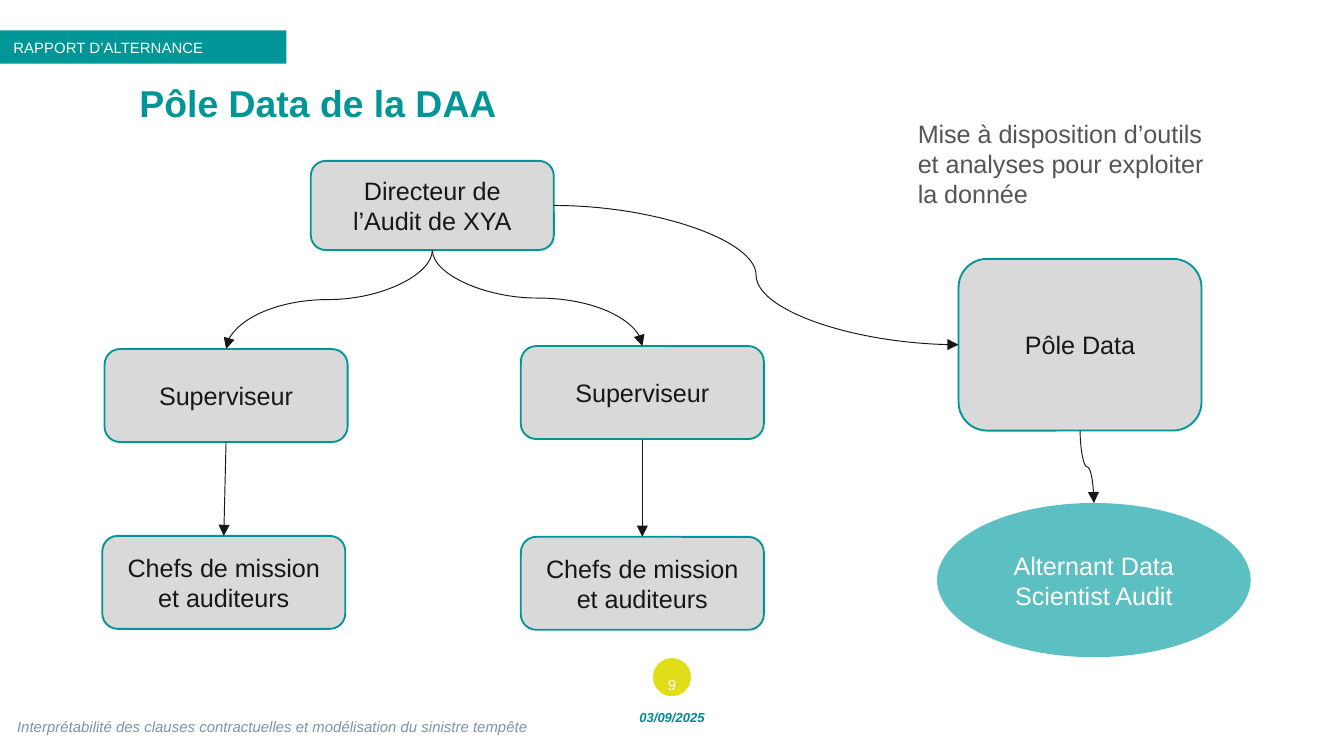
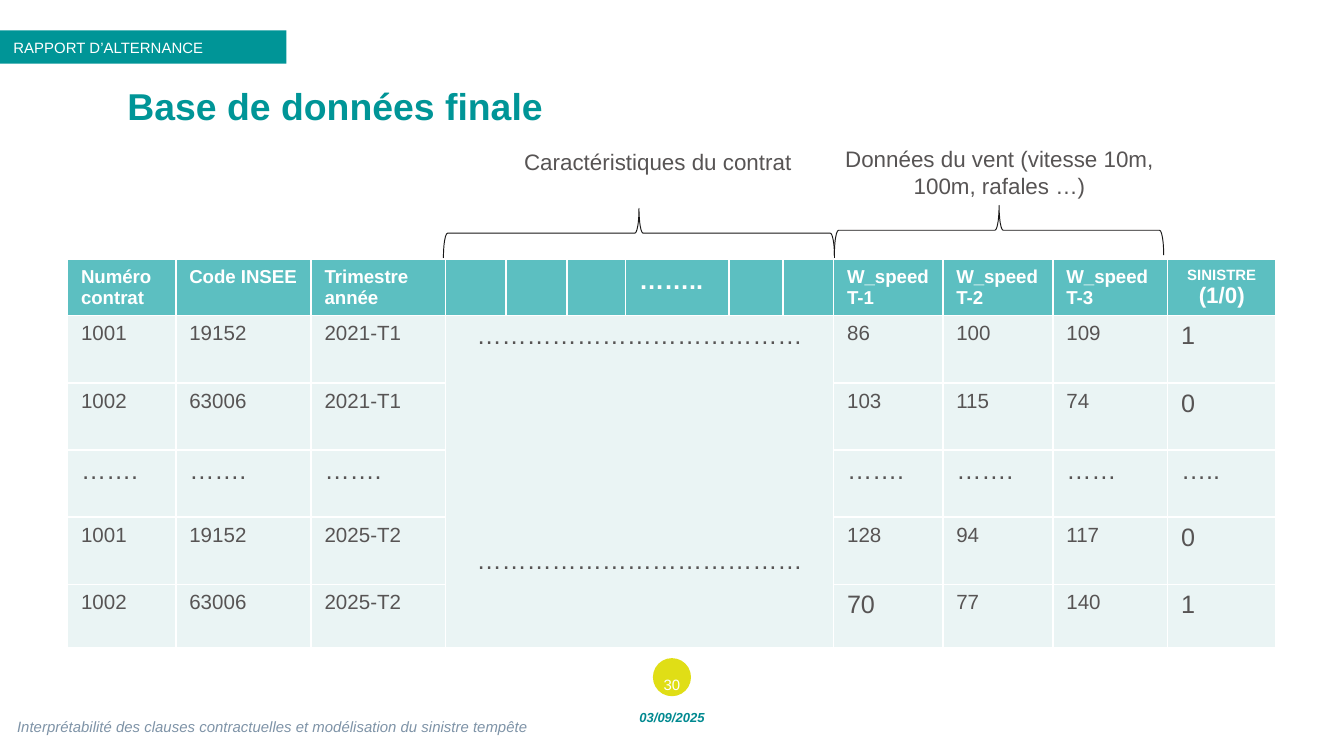
from lxml import etree
from pptx import Presentation
from pptx.dml.color import RGBColor
from pptx.enum.shapes import MSO_CONNECTOR, MSO_SHAPE
from pptx.enum.text import MSO_ANCHOR, MSO_AUTO_SIZE, PP_ALIGN
from pptx.oxml.ns import qn
from pptx.util import Pt

LEFT, MID = PP_ALIGN.LEFT, PP_ALIGN.CENTER
TOP, CORE = MSO_ANCHOR.TOP, MSO_ANCHOR.MIDDLE
ROUND, OVAL, BRACE = MSO_SHAPE.ROUNDED_RECTANGLE, MSO_SHAPE.OVAL, MSO_SHAPE.LEFT_BRACE
CURVE, STRAIGHT = MSO_CONNECTOR.CURVE, MSO_CONNECTOR.STRAIGHT
FIXED = MSO_AUTO_SIZE.NONE

FONT = "Arial"
TEAL, AQUA, PALE, LIME = "009597", "5CBFC1", "EAF4F4", "E0DE16"
INK, TEXT, GREY, WHITE = "181717", "575454", "D9D9D9", "FFFFFF"
SLATE, DEEP = "7E93A7", "008990"

BAND = "RAPPORT D’ALTERNANCE"
FOOT = "Interprétabilité des clauses contractuelles et modélisation du sinistre tempête"
DATE = "03/09/2025"

CARDS = {
    "head": ("Directeur de l’Audit de XYA", 166.5, 86.2, 47.8),
    "left": ("Superviseur", 56, 187, 49.8),
    "right": ("Superviseur", 279, 185.4, 49.8),
    "team left": ("Chefs de mission et auditeurs", 54.8, 287.1, 49.8),
    "team right": ("Chefs de mission et auditeurs", 279, 287.6, 49.8),
    "data": ("Pôle Data", 513.5, 138.7, 92),
}
CARD_W = 130.2
INTERN = ("Alternant Data Scientist Audit", 502, 269.5, 168, 82.6)
NOTE = ("Mise à disposition d’outils et analyses pour exploiter la donnée", 484.6, 59.8, 177, 56)
LINKS = [
    ("head", 2, "right", 0, CURVE),
    ("head", 2, "left", 0, CURVE),
    ("left", 2, "team left", 0, STRAIGHT),
    ("right", 2, "team right", 0, STRAIGHT),
    ("head", 3, "data", 1, CURVE),
    ("data", 2, "intern", 0, CURVE),
]

HEAD = ["Numéro contrat", "Code INSEE", "Trimestre année", "", "", "", "……..", "", "",
        "W_speed\nT-1", "W_speed\nT-2", "W_speed\nT-3", "SINISTRE\n(1/0)"]
ROWS = [
    ["1001", "19152", "2021-T1", "86", "100", "109", "1"],
    ["1002", "63006", "2021-T1", "103", "115", "74", "0"],
    ["…….", "…….", "…….", "…….", "…….", "……", "….."],
    ["1001", "19152", "2025-T2", "128", "94", "117", "0"],
    ["1002", "63006", "2025-T2", "70", "77", "140", "1"],
]
DOTS = "…………………………………"
COLS = [58, 72.5, 72, 32.5, 32.5, 31.5, 55.5, 29, 27, 58.5, 59, 61.5, 58]
HIGH = [30, 36, 36, 36, 36, 34]
GAP = (3, 8)
SIZES = {"SINISTRE": 8, "(1/0)": 12, "0": 13.5, "1": 13.5, "70": 13.5}
GROUPS = [
    ("Caractéristiques du contrat", (257, 75.6, 191, 22), (329, 20.2, 26.6, 209.5)),
    ("Données du vent (vitesse 10m, 100m, rafales …)", (440, 74.2, 191, 36),
     (521.9, 35.2, 26.6, 176.4)),
]


def tint(code):
    """Turn a hex string into a colour."""
    return RGBColor.from_string(code)


def paint(shape, fill=None, line=None, width=1):
    """Set the fill and outline of a shape."""
    shape.shadow.inherit = False
    if fill:
        shape.fill.solid()
        shape.fill.fore_color.rgb = tint(fill)
    else:
        shape.fill.background()
    if line:
        shape.line.color.rgb = tint(line)
        shape.line.width = Pt(width)
    else:
        shape.line.fill.background()


def write(frame, text, size, color, align=LEFT, bold=False, italic=False):
    """Fill a text frame, one paragraph per line of text."""
    for i, line in enumerate(text.split("\n")):
        para = frame.add_paragraph() if i else frame.paragraphs[0]
        para.alignment = align
        run = para.add_run()
        run.text = line
        font = run.font
        font.name, font.size, font.bold, font.italic = FONT, Pt(size), bold, italic
        font.color.rgb = tint(color)


def setup(frame, anchor=TOP, inset=None):
    """Set wrapping, anchor and insets of a text frame."""
    frame.word_wrap = True
    frame.auto_size = FIXED
    frame.vertical_anchor = anchor
    if inset is not None:
        frame.margin_left = frame.margin_right = Pt(inset)
        frame.margin_top = frame.margin_bottom = Pt(inset)


def label(slide, box, text, size, color, align=LEFT, anchor=TOP, inset=None, **style):
    """Add a text box."""
    frame = slide.shapes.add_textbox(*map(Pt, box)).text_frame
    setup(frame, anchor, inset)
    write(frame, text, size, color, align, **style)


def node(slide, kind, box, text, fill, line, color):
    """Add a filled shape with centred text."""
    shape = slide.shapes.add_shape(kind, *map(Pt, box))
    paint(shape, fill, line)
    setup(shape.text_frame, CORE)
    write(shape.text_frame, text, 13.5, color, MID)
    return shape


def place(shape, box):
    """Move and size a shape."""
    shape.left, shape.top, shape.width, shape.height = map(Pt, box)


def start(deck, title, spot, page):
    """Add a slide with its title, band and footer."""
    slide = deck.slides.add_slide(deck.slide_layouts[1])
    head, band = slide.placeholders
    place(head, (*spot, 634, 50))
    setup(head.text_frame, TOP, 2.7)
    write(head.text_frame, title, 20, TEAL, bold=True)
    head.text_frame.paragraphs[0].line_spacing = 0.85

    place(band, (0, 16.3, 153.5, 17.8))
    paint(band, TEAL)
    setup(band.text_frame, CORE)
    write(band.text_frame, BAND, 8, WHITE)
    para = band.text_frame.paragraphs[0]
    para.space_before, para.space_after = Pt(0), Pt(6)
    props = para._p.get_or_add_pPr()
    props.set("marL", "0")
    props.set("indent", "0")
    etree.SubElement(props, qn("a:buNone"))

    dot = slide.shapes.add_shape(OVAL, *map(Pt, (349.8, 352.6, 20.4, 20.4)))
    paint(dot, LIME)
    label(slide, (343, 355.7, 34, 21.6), page, 8, WHITE, MID, CORE)
    label(slide, (334, 378, 52, 13), DATE, 7, DEEP, MID, CORE, 2.7, bold=True, italic=True)
    label(slide, (6.5, 380, 307, 18), FOOT, 8, SLATE, LEFT, CORE, 2.7, italic=True)
    return slide


def join(slide, first, out, last, into, kind):
    """Link two shapes with an arrow, turned when a curve leaves downwards."""
    link = slide.shapes.add_connector(kind, 0, 0, 0, 0)
    link.begin_connect(first, out)
    link.end_connect(last, into)
    link.line.color.rgb = tint(INK)
    link.line.width = Pt(0.5)
    props = link._element.spPr
    etree.SubElement(props.find(qn("a:ln")), qn("a:tailEnd"), type="triangle")
    etree.SubElement(props, qn("a:effectLst"))
    if kind == CURVE and out == 2:
        x, y, end, low = link.begin_x, link.begin_y, link.end_x, link.end_y
        wide, tall = abs(end - x), low - y
        link.left, link.top = (x + end - tall) // 2, (y + low - wide) // 2
        link.width, link.height = tall, wide
        frame = props.find(qn("a:xfrm"))
        frame.attrib.pop("flipH", None)
        frame.set("rot", "16200000" if end > x else "5400000")
        if end > x:
            frame.set("flipH", "1")


def chart(deck):
    """Build the organisation slide."""
    slide = start(deck, "Pôle Data de la DAA", (72, 43.9), "9")
    nodes = {}
    for key, (text, x, y, high) in CARDS.items():
        nodes[key] = node(slide, ROUND, (x, y, CARD_W, high), text, GREY, TEAL, INK)
    text, *box = INTERN
    nodes["intern"] = node(slide, OVAL, box, text, AQUA, None, WHITE)
    for first, out, last, into, kind in LINKS:
        join(slide, nodes[first], out, nodes[last], into, kind)
    text, *box = NOTE
    label(slide, box, text, 13.5, TEXT)


def base(deck):
    """Build the data table slide."""
    slide = start(deck, "Base de données finale", (65.6, 45.4), "30")
    box = (36.2, 139.1, sum(COLS), sum(HIGH))
    grid = slide.shapes.add_table(len(HIGH), len(COLS), *map(Pt, box)).table
    for col, wide in zip(grid.columns, COLS):
        col.width = Pt(wide)
    for row, high in zip(grid.rows, HIGH):
        row.height = Pt(high)
    low, high = GAP
    blank = [""] * (high - low + 1)
    for i, row in enumerate([HEAD] + [r[:low] + blank + r[low:] for r in ROWS]):
        for j, text in enumerate(row):
            cell = grid.cell(i, j)
            cell.fill.solid()
            cell.fill.fore_color.rgb = tint(PALE if i else AQUA)
            if not text:
                continue
            size = 13.5 if "…" in text else 11 if i else 10
            align = MID if "SINISTRE" in text else LEFT
            write(cell.text_frame, text, size, TEXT if i else WHITE, align, bold=not i)
            for para in cell.text_frame.paragraphs:
                run = para.runs[0]
                run.font.size = Pt(SIZES.get(run.text, size))
    span = grid.cell(1, low)
    span.merge(grid.cell(len(ROWS), high))
    write(span.text_frame, f"{DOTS}\n{DOTS}", 13.5, TEXT, MID)
    span.text_frame.paragraphs[1].space_before = Pt(105)

    for text, box, brace in GROUPS:
        shape = slide.shapes.add_shape(BRACE, *map(Pt, brace))
        shape.rotation = 90
        paint(shape, None, INK, 0.5)
        label(slide, box, text, 12, TEXT, MID)


def main():
    """Build and save the deck."""
    deck = Presentation()
    deck.slide_width, deck.slide_height = Pt(720), Pt(405)
    chart(deck)
    base(deck)
    deck.save("out.pptx")


if __name__ == "__main__":
    main()
